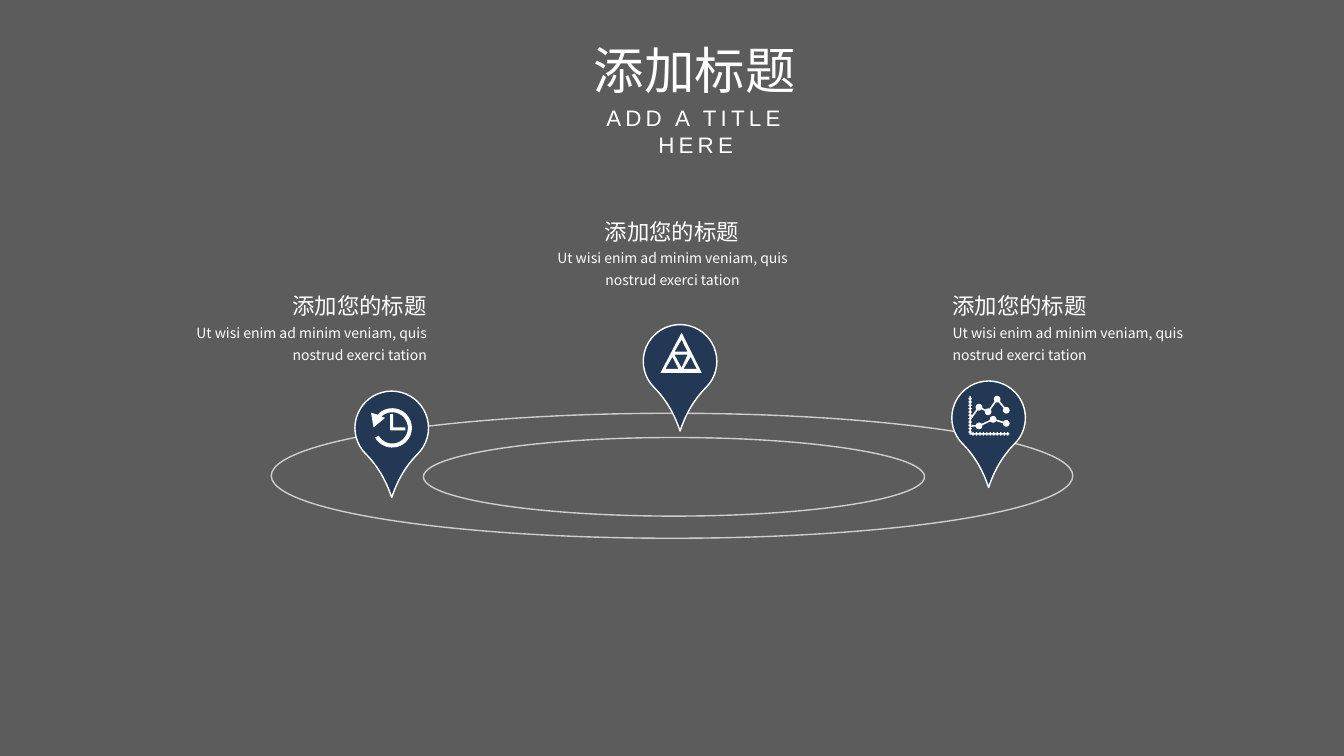
"""Build a slide with three map pins standing on two elliptical orbits."""
from dataclasses import dataclass
from math import asin, atan2, cos, hypot, pi, radians, sin
from typing import Callable

from lxml import etree
from pptx import Presentation
from pptx.dml.color import RGBColor
from pptx.enum.shapes import MSO_SHAPE
from pptx.enum.text import MSO_ANCHOR, MSO_AUTO_SIZE, PP_ALIGN
from pptx.oxml.ns import qn
from pptx.util import Inches, Pt

ELLIPSE, TEARDROP = MSO_SHAPE.OVAL, MSO_SHAPE.TEAR
LEFT, CENTER, RIGHT = PP_ALIGN.LEFT, PP_ALIGN.CENTER, PP_ALIGN.RIGHT
TOP = MSO_ANCHOR.TOP
FIT_SHAPE = MSO_AUTO_SIZE.SHAPE_TO_FIT_TEXT

Point = tuple[float, float]
Outline = list[Point]
UNITS_PER_INCH = 10000


@dataclass(frozen=True)
class Theme:
    background: RGBColor = RGBColor(0x5D, 0x5C, 0x5C)
    ink: RGBColor = RGBColor(0xFF, 0xFF, 0xFF)
    pin: RGBColor = RGBColor(0x22, 0x38, 0x55)
    chinese_font: str = "Noto Sans CJK SC"
    latin_font: str = "Arial"
    title_size: int = 36
    heading_size: int = 16
    body_size: int = 10
    letter_spacing: int = 3
    line_width: int = 1
    orbit_opacity: int = 70


@dataclass(frozen=True)
class Box:
    left: float
    top: float
    width: float
    height: float

    def lengths(self) -> tuple:
        return tuple(Inches(v) for v in (self.left, self.top, self.width, self.height))


@dataclass(frozen=True)
class Pin:
    left: float
    top: float
    icon: Callable[[], list[Outline]]


@dataclass(frozen=True)
class Label:
    heading_left: float
    body_left: float
    top: float
    alignment: PP_ALIGN


THEME = Theme()
HEADING = "添加您的标题"
BODY = "Ut wisi enim ad minim veniam, quis nostrud exerci tation"


def arc(center: Point, radius: float, start: float, end: float, steps: int = 40) -> Outline:
    turns = [start + (end - start) * i / steps for i in range(steps + 1)]
    return [(center[0] + radius * cos(t), center[1] + radius * sin(t)) for t in turns]


def history_icon() -> list[Outline]:
    center = (3.89, 4.245)
    arrow = [(3.68, 4.095), (3.705, 4.24), (3.82, 4.145)]
    ring = (arc(center, 0.195, radians(150), radians(-138)) + arrow
            + arc(center, 0.155, radians(-134), radians(150)))
    hands = [(3.87, 4.11), (3.9, 4.11), (3.9, 4.24), (4.02, 4.24), (4.02, 4.27), (3.87, 4.27)]
    return [ring, hands]


def triangle_icon() -> list[Outline]:
    return [
        [(6.76, 3.3), (6.55, 3.7), (6.96, 3.7)],
        [(6.76, 3.37), (6.82, 3.49), (6.69, 3.49)],
        [(6.6, 3.66), (6.67, 3.54), (6.73, 3.66)],
        [(6.69, 3.52), (6.82, 3.52), (6.76, 3.65)],
        [(6.85, 3.54), (6.91, 3.66), (6.78, 3.66)],
    ]


def ruler(start: float, end: float, first_tick: float, gap: float) -> Outline:
    """Outline an axis with eleven ticks as (distance along, offset) points."""
    def side(sign: int) -> Outline:
        points = [(start, sign * 0.007)]
        for i in range(11):
            tick = first_tick + gap * i
            points += [(tick - 0.006, sign * 0.007), (tick - 0.006, sign * 0.018),
                       (tick + 0.006, sign * 0.018), (tick + 0.006, sign * 0.007)]
        return points + [(end, sign * 0.007)]
    return side(1) + side(-1)[::-1]


def dotted_line(nodes: list[Point]) -> Outline:
    """Outline a line from the axis with a dot at every later node."""
    walk = list(range(len(nodes))) + list(range(len(nodes) - 2, 0, -1))
    outline: Outline = []
    for step, index in enumerate(walk):
        x, y = nodes[index]
        before = nodes[walk[step - 1]]
        after = nodes[walk[(step + 1) % len(walk)]]
        radius = 0.033 if index else 0.01
        opening = asin(0.008 / radius)
        start = atan2(before[1] - y, before[0] - x) + opening
        end = atan2(after[1] - y, after[0] - x) - opening
        while end <= start:
            end += 2 * pi
        outline += arc((x, y), radius, start, end, 16)
    return outline


def chart_icon() -> list[Outline]:
    vertical = [(9.622 + off, along) for along, off in ruler(3.93, 4.297, 3.955, 0.033)]
    horizontal = [(along, 4.304 + off) for along, off in ruler(9.615, 10.01, 9.65, 0.0345)]
    upper = [(9.64, 4.135), (9.71, 4.04), (9.8, 4.085), (9.89, 3.96), (9.98, 4.07)]
    lower = [(9.64, 4.225), (9.71, 4.225), (9.85, 4.16), (9.98, 4.2)]
    return [vertical, horizontal, dotted_line(upper), dotted_line(lower)]


ORBITS = [Box(2.69, 4.1, 7.95, 1.24), Box(4.2, 4.34, 4.97, 0.78)]
PINS = [Pin(3.52, 3.88, history_icon), Pin(9.44, 3.78, chart_icon),
        Pin(6.38, 3.22, triangle_icon)]
LABELS = [Label(5.89, 5.25, 2.06, CENTER), Label(9.35, 9.35, 2.8, LEFT),
          Label(2.78, 1.49, 2.8, RIGHT)]


def write(shape, text: str, size: int, font: str, alignment: PP_ALIGN,
          spacing: float = 1.0, wrap: bool = True) -> None:
    frame = shape.text_frame
    frame.text = text
    frame.word_wrap = wrap
    frame.auto_size = FIT_SHAPE
    frame.vertical_anchor = TOP
    paragraph = frame.paragraphs[0]
    paragraph.alignment = alignment
    paragraph.line_spacing = spacing
    paragraph.space_before = Pt(0)
    run = paragraph.runs[0]
    run.font.size = Pt(size)
    run.font.name = font
    run.font.color.rgb = THEME.ink
    etree.SubElement(run.font._element, qn("a:ea"), typeface=font)


def place(shape, box: Box) -> None:
    shape.left, shape.top, shape.width, shape.height = box.lengths()


def add_headline(slide) -> None:
    title, subtitle = slide.shapes.title, slide.placeholders[1]
    place(title, Box(5.78, 0.34, 2.22, 0.71))
    write(title, "添加标题", THEME.title_size, THEME.chinese_font, CENTER, wrap=False)
    place(subtitle, Box(5.58, 0.98, 2.64, 0.37))
    write(subtitle, "ADD A TITLE HERE", THEME.heading_size, THEME.latin_font, CENTER)
    run = subtitle.text_frame.paragraphs[0].runs[0]
    run.font._element.set("spc", str(THEME.letter_spacing * 100))


def add_outlined(slide, kind: MSO_SHAPE, box: Box):
    shape = slide.shapes.add_shape(kind, *box.lengths())
    shape.shadow.inherit = False
    shape.fill.background()
    shape.line.color.rgb = THEME.ink
    shape.line.width = Pt(THEME.line_width)
    return shape


def add_orbit(slide, box: Box) -> None:
    orbit = add_outlined(slide, ELLIPSE, box)
    color = orbit._element.spPr.find(f"{qn('a:ln')}//{qn('a:srgbClr')}")
    etree.SubElement(color, qn("a:alpha"), val=str(THEME.orbit_opacity * 1000))


def add_pin(slide, pin: Pin) -> None:
    drop = add_outlined(slide, TEARDROP, Box(pin.left, pin.top, 0.73, 0.73))
    drop.adjustments[0] = 1.34
    drop.rotation = 135
    drop.fill.solid()
    drop.fill.fore_color.rgb = THEME.pin
    outlines = [[(x * UNITS_PER_INCH, y * UNITS_PER_INCH) for x, y in outline]
                for outline in pin.icon()]
    builder = slide.shapes.build_freeform(*outlines[0][0], scale=Inches(1) / UNITS_PER_INCH)
    for outline in outlines:
        if outline is not outlines[0]:
            builder.move_to(*outline[0])
        builder.add_line_segments(outline[1:], close=True)
    icon = builder.convert_to_shape()
    icon.shadow.inherit = False
    icon.fill.solid()
    icon.fill.fore_color.rgb = THEME.ink
    icon.line.fill.background()


def add_label(slide, label: Label) -> None:
    heading = slide.shapes.add_textbox(*Box(label.heading_left, label.top, 1.55, 0.4).lengths())
    write(heading, HEADING, THEME.heading_size, THEME.chinese_font, label.alignment, 1.2, False)
    body = slide.shapes.add_textbox(*Box(label.body_left, label.top + 0.32, 2.84, 0.52).lengths())
    write(body, BODY, THEME.body_size, THEME.chinese_font, label.alignment, 1.3)


def main() -> None:
    presentation = Presentation()
    presentation.slide_width, presentation.slide_height = Inches(13.33), Inches(7.5)
    slide = presentation.slides.add_slide(presentation.slide_layouts[0])
    slide.background.fill.solid()
    slide.background.fill.fore_color.rgb = THEME.background
    add_headline(slide)
    for orbit in ORBITS:
        add_orbit(slide, orbit)
    for pin in PINS:
        add_pin(slide, pin)
    for label in LABELS:
        add_label(slide, label)
    presentation.save("out.pptx")


if __name__ == "__main__":
    main()
